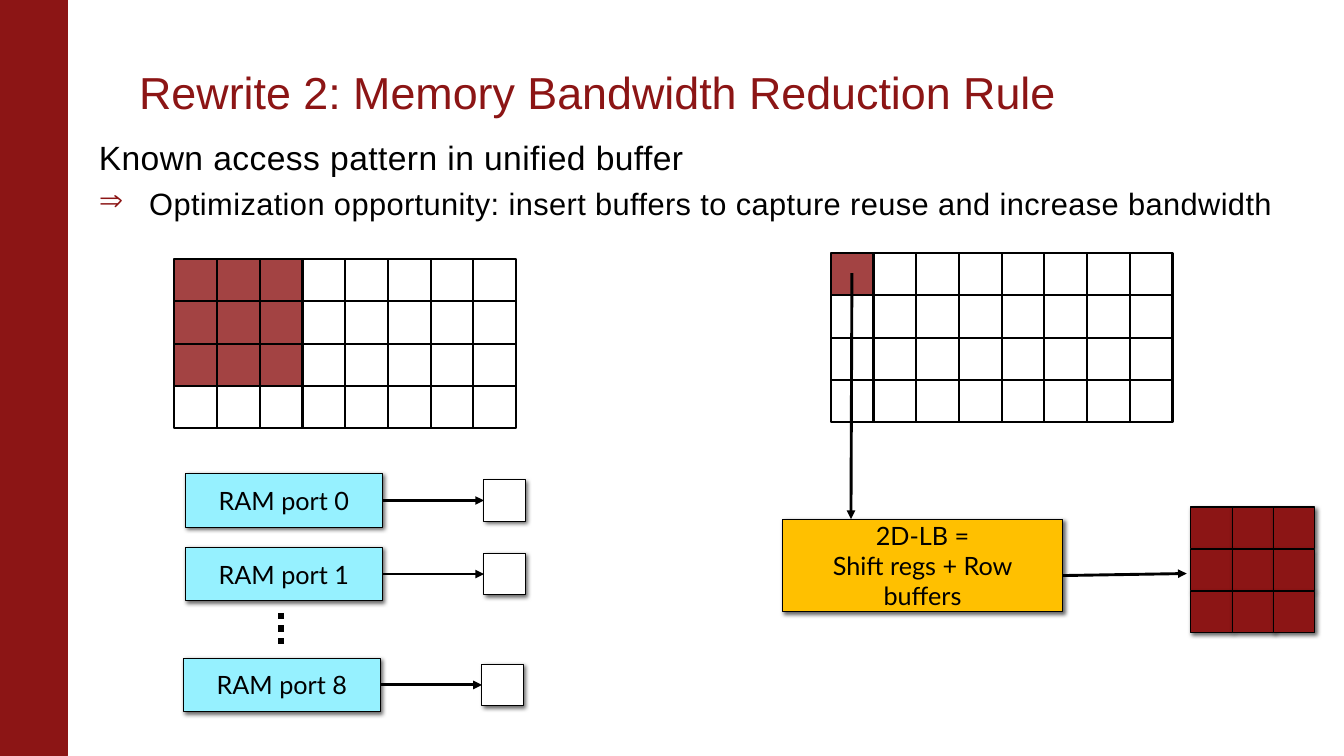
from pptx import Presentation
from pptx.dml.color import RGBColor
from pptx.enum.dml import MSO_LINE
from pptx.enum.shapes import MSO_CONNECTOR as Line, MSO_SHAPE as Preset
from pptx.enum.text import MSO_ANCHOR as Anchor, PP_ALIGN as Align
from pptx.oxml.ns import qn
from pptx.util import Inches, Pt
from lxml.etree import SubElement

TITLE = "Rewrite 2: Memory Bandwidth Reduction Rule"
BODY = [
    ("Known access pattern in unified buffer", 24, None),
    ("Optimization opportunity: insert buffers to capture reuse and increase bandwidth", 22, "⇒"),
]
RAM_PORTS = [("RAM port 0", 1.84, 4.7), ("RAM port 1", 1.84, 5.43), ("RAM port 8", 1.82, 6.53)]
LINE_BUFFER = ["2D-LB =", "Shift regs + Row buffers"]
MEMORIES = [(1.73, 2.57, 3), (8.24, 2.51, 1)]
GRID = {"columns": 8, "rows": 4, "width": 3.39, "height": 1.68}
PORT = {"width": 1.95, "height": 0.53, "gap": 1.01}
PIXEL = 0.41
WINDOW = {"left": 11.81, "top": 5.03, "row_pitch": 0.42, "size": 3}

THEME = {
    "cardinal": "8C1515", "black": "000000", "white": "FFFFFF",
    "cyan": "96F1FF", "amber": "FFC000",
    "heading_font": "Arial", "label_font": "Lato",
    "title_size": 32, "label_size": 18,
    "thin": 0.75, "cell": 1.5, "arrow": 2.08, "dots": 4.5,
}


def color(name):
    return RGBColor.from_string(THEME[name])


def apply(target, values):
    for name, value in values.items():
        setattr(target, name, value)


def add_span(para, text, font, size, ink="black"):
    span = para.add_run()
    span.text = text
    apply(span.font, {"name": THEME[font], "size": Pt(size)})
    span.font.color.rgb = color(ink)
    return span


def add_box(shapes, left, top, width, height, fill=None, line="black", weight="thin", shadow=False):
    box = shapes.add_shape(Preset.RECTANGLE, *map(Inches, (left, top, width, height)))
    if fill:
        box.fill.solid()
        box.fill.fore_color.rgb = color(fill)
    else:
        box.fill.background()
    if line:
        box.line.color.rgb = color(line)
        box.line.width = Pt(THEME[weight])
    else:
        box.line.fill.background()
    box.shadow.inherit = False
    if shadow:
        effects = box._element.spPr.find(qn("a:effectLst"))
        outer = SubElement(effects, qn("a:outerShdw"), blurRad=str(Pt(3)), dist=str(Pt(2)),
                           dir="2700000", algn="tl", rotWithShape="0")
        shade = SubElement(outer, qn("a:srgbClr"), val=THEME["black"])
        SubElement(shade, qn("a:alpha"), val="60000")
    return box


def add_label(box, lines):
    frame = box.text_frame
    apply(frame, {"word_wrap": True, "vertical_anchor": Anchor.MIDDLE})
    for index, text in enumerate(lines):
        para = frame.add_paragraph() if index else frame.paragraphs[0]
        para.alignment = Align.CENTER
        add_span(para, text, "label_font", THEME["label_size"])


def add_line(page, start, end, weight="arrow", head=True):
    line = page.shapes.add_connector(Line.STRAIGHT, *map(Inches, (*start, *end)))
    line.line.color.rgb = color("black")
    line.line.width = Pt(THEME[weight])
    if head:
        SubElement(line.line._get_or_add_ln(), qn("a:tailEnd"), type="triangle")
    SubElement(line._element.spPr, qn("a:effectLst"))
    return line


def add_text_box(page, left, top, width, height, margins):
    frame = page.shapes.add_textbox(*map(Inches, (left, top, width, height))).text_frame
    apply(frame, {"word_wrap": True, **margins})
    return frame


def add_title(page):
    frame = add_text_box(page, 1.38, 0.52, 11.24, 0.71, {"margin_left": 0, "vertical_anchor": Anchor.BOTTOM})
    para = frame.paragraphs[0]
    para.line_spacing = 0.85
    add_span(para, TITLE, "heading_font", THEME["title_size"], "cardinal")


def add_body(page):
    frame = add_text_box(page, 0.98, 1.31, 12.05, 1.18, {"margin_left": 0, "margin_right": 0})
    for index, (text, size, bullet) in enumerate(BODY):
        para = frame.add_paragraph() if index else frame.paragraphs[0]
        if index:
            para.space_before = Pt(5)
        props = para._p.get_or_add_pPr()
        props.set("marL", str(Inches(0.5)))
        props.set("indent", str(Inches(-0.5)))
        if bullet:
            SubElement(SubElement(props, qn("a:buClr")), qn("a:srgbClr"), val=THEME["cardinal"])
            SubElement(props, qn("a:buChar"), char=bullet)
        span = add_span(para, text, "heading_font", size)
        span._r.get_or_add_rPr().set("spc", "30")


def add_memory(page, left, top, marked):
    width = GRID["width"] / GRID["columns"]
    height = GRID["height"] / GRID["rows"]
    mark = add_box(page.shapes, left, top, marked * width, marked * height, "cardinal", None)
    tint = mark._element.spPr.find(qn("a:solidFill")).find(qn("a:srgbClr"))
    SubElement(tint, qn("a:alpha"), val="80000")
    cells = page.shapes.add_group_shape().shapes
    for row in range(GRID["rows"]):
        for column in range(GRID["columns"]):
            add_box(cells, left + column * width, top + row * height, width, height, weight="cell")


def add_port(page, label, left, top):
    port = add_box(page.shapes, left, top, PORT["width"], PORT["height"], "cyan", shadow=True)
    add_label(port, [label])
    right, middle = left + PORT["width"], top + PORT["height"] / 2
    end = right + PORT["gap"]
    pixel = add_box(page.shapes, end, middle - PIXEL / 2, PIXEL, PIXEL, "white", shadow=True)
    arrow = add_line(page, (right, middle), (end, middle))
    arrow.begin_connect(port, 3)
    arrow.end_connect(pixel, 1)


def add_window(page):
    for row in range(WINDOW["size"]):
        for column in range(WINDOW["size"]):
            add_box(page.shapes, WINDOW["left"] + column * PIXEL, WINDOW["top"] + row * WINDOW["row_pitch"],
                    PIXEL, PIXEL, "cardinal", shadow=True)


def main():
    deck = Presentation()
    apply(deck, {"slide_width": Inches(13.33), "slide_height": Inches(7.5)})
    page = deck.slides.add_slide(deck.slide_layouts[6])
    add_box(page.shapes, 0, 0, 0.67, 7.5, "cardinal", "cardinal")
    add_title(page)
    add_body(page)
    for port in RAM_PORTS:
        add_port(page, *port)
    dots = add_line(page, (2.79, 6.08), (2.79, 6.41), "dots", head=False)
    dots.line.dash_style = MSO_LINE.ROUND_DOT
    for memory in MEMORIES:
        add_memory(page, *memory)
    add_line(page, (8.45, 2.71), (8.44, 5.15))
    buffer = add_box(page.shapes, 7.76, 5.15, 2.78, 0.92, "amber", shadow=True)
    add_label(buffer, LINE_BUFFER)
    add_line(page, (10.54, 5.71), (11.77, 5.69))
    add_window(page)
    deck.save("out.pptx")


if __name__ == "__main__":
    main()
